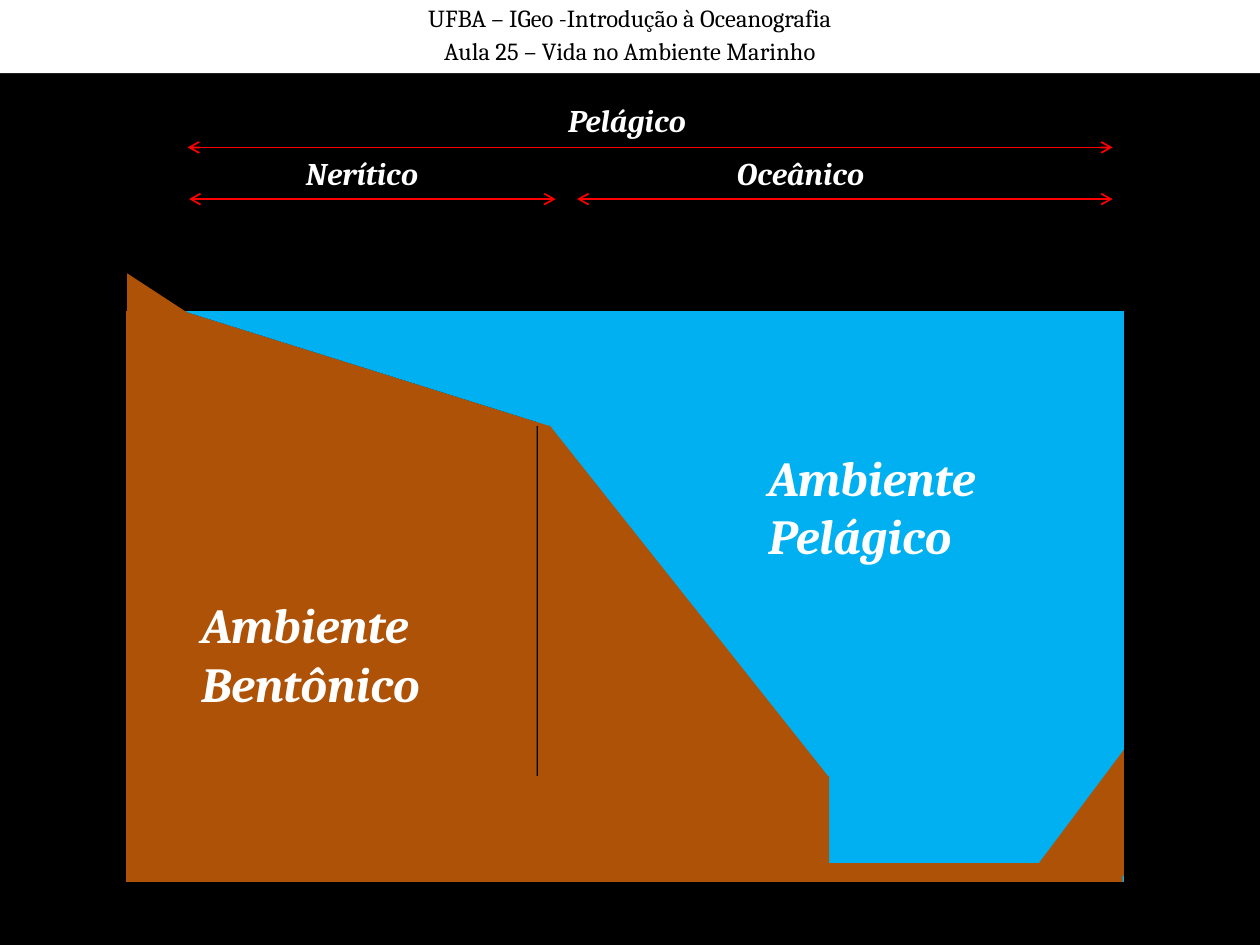
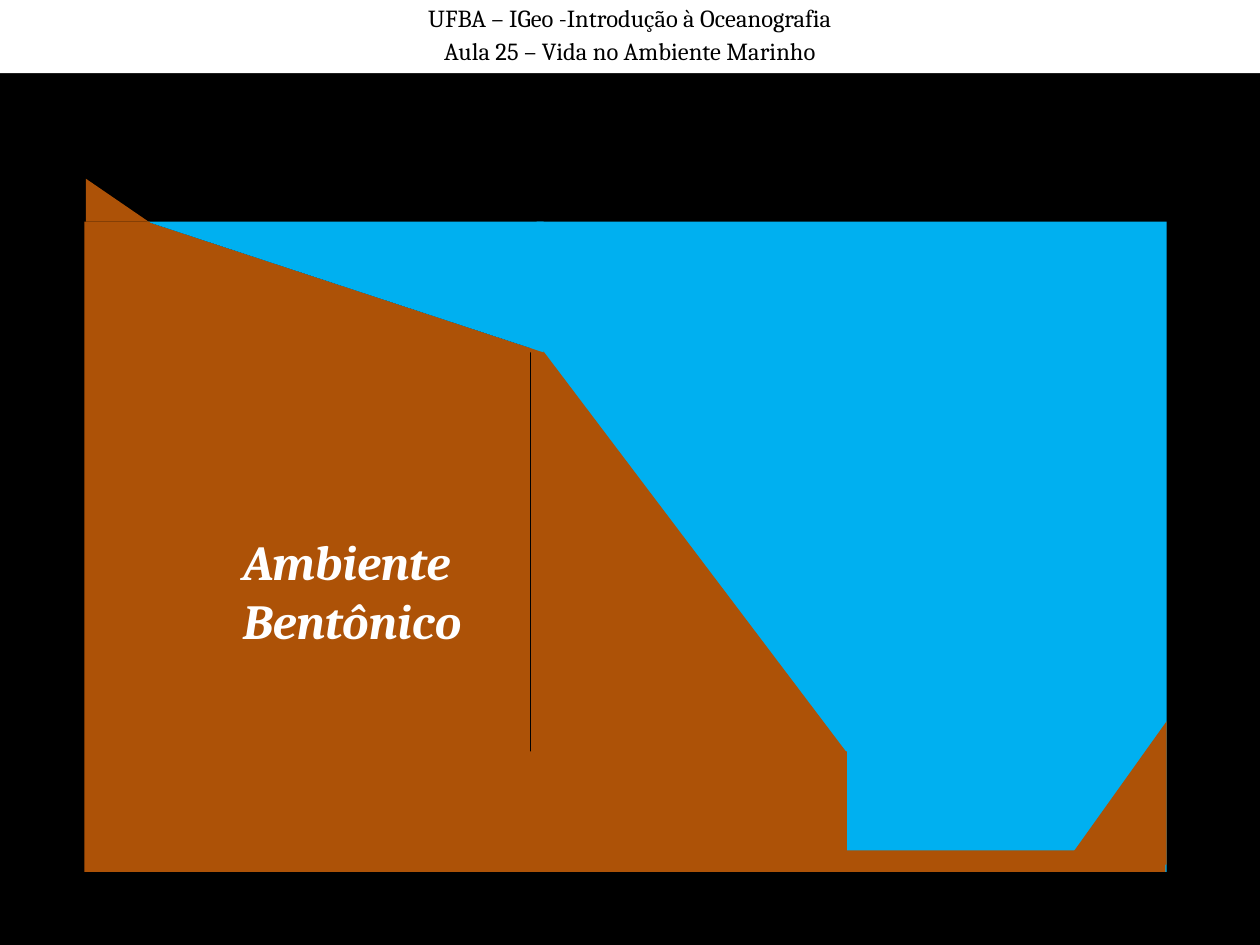
from lxml import etree
from pptx import Presentation
from pptx.dml.color import RGBColor
from pptx.enum.shapes import MSO_CONNECTOR, MSO_SHAPE
from pptx.enum.text import MSO_ANCHOR, MSO_AUTO_SIZE, PP_ALIGN
from pptx.oxml.ns import qn
from pptx.util import Inches, Pt

RECT, WEDGE = MSO_SHAPE.RECTANGLE, MSO_SHAPE.RIGHT_TRIANGLE
LINE = MSO_CONNECTOR.STRAIGHT
LEFT, CENTER = PP_ALIGN.LEFT, PP_ALIGN.CENTER
TOP = MSO_ANCHOR.TOP
FIXED, GROW = MSO_AUTO_SIZE.NONE, MSO_AUTO_SIZE.SHAPE_TO_FIT_TEXT

BLACK, WHITE, RED = "000000", "FFFFFF", "FF0000"
SEA, ROCK = "00B0F0", "AD5207"
FONT = "Cambria"
HEAD = "UFBA – IGeo -Introdução à Oceanografia\nAula 25 – Vida no Ambiente Marinho"


def hue(code):
    return RGBColor.from_string(code)


def write(frame, text, size=18, color=WHITE, strong=True, align=LEFT,
          spacing=1.0, gap=0, fit=GROW):
    frame.word_wrap = True
    frame.auto_size = fit
    frame.vertical_anchor = TOP
    frame.margin_left = frame.margin_right = Inches(0.1)
    frame.margin_top = frame.margin_bottom = Inches(0.05)
    for i, row in enumerate(text.split("\n")):
        para = frame.add_paragraph() if i else frame.paragraphs[0]
        para.alignment = align
        para.line_spacing = spacing
        para.space_before = Pt(gap if i else 0)
        run = para.add_run()
        run.text = row
        font = run.font
        font.name, font.size = FONT, Pt(size)
        font.bold = font.italic = strong
        font.color.rgb = hue(color)


# Ocean section, back to front: shape, colour, turn, and the box it covers
SECTION = [
    (RECT, SEA, 0, 4.31, 2.47, 4.61, 4.53),       # open ocean
    (WEDGE, ROCK, 0, 1.46, 2.47, 2.9, 0.91),      # shelf
    (WEDGE, ROCK, 0, 4.27, 3.26, 2.31, 2.91),     # slope
    (WEDGE, SEA, 180, 1.46, 2.47, 2.9, 0.91),     # water over the shelf
    (RECT, ROCK, 0, 1.46, 3.36, 2.8, 3.64),       # shelf base
    (RECT, ROCK, 0, 6.11, 6.85, 2.8, 0.15),       # deep floor
    (RECT, ROCK, 0, 1, 2.47, 0.48, 4.53),         # coast
    (WEDGE, ROCK, 0, 1.01, 2.17, 0.46, 0.3),      # dry land
    (WEDGE, ROCK, 270, 8.17, 5.95, 0.75, 1),      # far rise
    (RECT, ROCK, 0, 3.77, 6.16, 2.81, 0.84),      # slope base
]
BASE_X, BASE_Y = 1, 2.47

# Each slide: section origin, section scale, zone arrows, labels
SLIDES = [
    {
        "start": (1, 2.47), "scale": (1, 1),
        "arrows": [(1.49, 8.83, 1.17), (1.5, 4.41, 1.58), (4.58, 8.83, 1.58)],
        "labels": [
            ("Pelágico", 18, 4.41, 0.75, 1.42, 0.4),
            ("Nerítico", 18, 2.33, 1.17, 1.25, 0.4),
            ("Oceânico", 18, 5.75, 1.17, 1.25, 0.4),
            ("Ambiente Bentônico", 28, 1.5, 4.67, 2.58, 1.04),
            ("Ambiente Pelágico", 28, 6, 3.5, 2.58, 1.04),
        ],
    },
    {
        "start": (0.67, 1.76), "scale": (5 / 4.61, 5.16 / 4.53),
        "arrows": [],
        "labels": [("Ambiente Bentônico", 28, 1.83, 4.17, 2.58, 1.04)],
    },
]

deck = Presentation()
deck.slide_width, deck.slide_height = Inches(10), Inches(7.5)

for plan in SLIDES:
    slide = deck.slides.add_slide(deck.slide_layouts[5])
    shapes = slide.shapes
    slide.background.fill.solid()
    slide.background.fill.fore_color.rgb = hue(BLACK)

    # Header band
    band = shapes.title
    band.left, band.top = Inches(0), Inches(0)
    band.width, band.height = Inches(10), Inches(0.58)
    band.fill.solid()
    band.fill.fore_color.rgb = hue(WHITE)
    write(band.text_frame, HEAD, size=14, color=BLACK, strong=False,
          align=CENTER, spacing=0.9, gap=3.5, fit=FIXED)

    # Ocean section, scaled from its top left corner
    (left, top), (wide, high) = plan["start"], plan["scale"]
    for kind, color, turn, x, y, w, h in SECTION:
        x, y = left + (x - BASE_X) * wide, top + (y - BASE_Y) * high
        w, h = w * wide, h * high
        if turn == 270:  # a quarter turn swaps the sides about the centre
            x, y, w, h = x + (w - h) / 2, y + (h - w) / 2, h, w
        part = shapes.add_shape(kind, Inches(x), Inches(y), Inches(w), Inches(h))
        part.rotation = turn
        part.shadow.inherit = False
        part.fill.solid()
        part.fill.fore_color.rgb = hue(color)
        part.line.fill.background()

    # Zone arrows
    for x1, x2, y in plan["arrows"]:
        arrow = shapes.add_connector(LINE, Inches(x1), Inches(y), Inches(x2), Inches(y))
        arrow.line.color.rgb = hue(RED)
        arrow.line.width = Pt(1)
        props = arrow._element.spPr
        for end in ("a:headEnd", "a:tailEnd"):
            etree.SubElement(props.find(qn("a:ln")), qn(end), type="arrow")
        etree.SubElement(props, qn("a:effectLst"))

    # Labels
    for text, size, x, y, w, h in plan["labels"]:
        label = shapes.add_textbox(Inches(x), Inches(y), Inches(w), Inches(h))
        write(label.text_frame, text, size=size)

deck.save("out.pptx")
